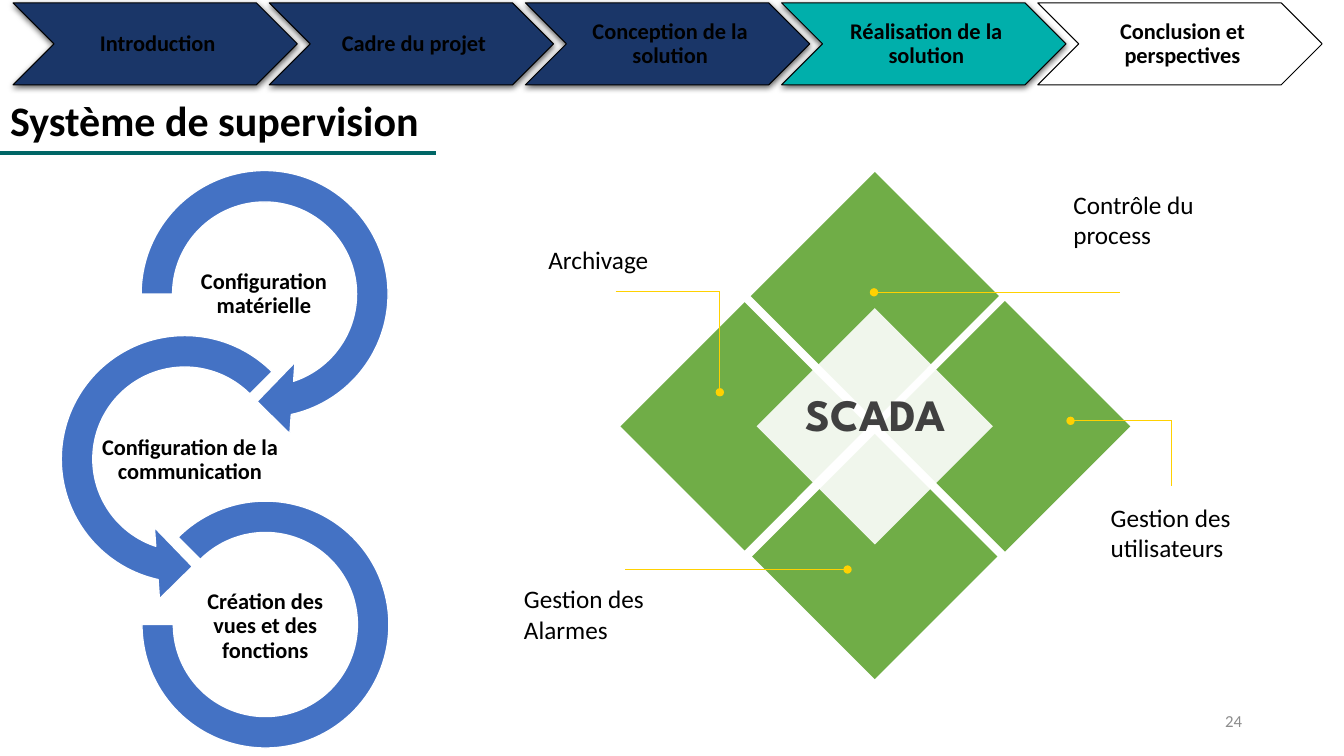
"""Build the slide on the supervision system, on a grid of 32 columns by 18 rows."""
from typing import NamedTuple, Optional

from lxml.etree import SubElement
from pptx import Presentation
from pptx.dml.color import RGBColor
from pptx.enum.shapes import MSO_CONNECTOR, MSO_SHAPE
from pptx.enum.text import MSO_ANCHOR, MSO_AUTO_SIZE, PP_ALIGN
from pptx.oxml import parse_xml
from pptx.oxml.ns import nsdecls, qn
from pptx.util import Emu, Pt

COLUMNS, ROWS, CELL = 32, 18, 381000
BLACK = RGBColor(0x00, 0x00, 0x00)
WHITE = RGBColor(0xFF, 0xFF, 0xFF)
NAVY = RGBColor(0x1A, 0x36, 0x68)
TURQUOISE = RGBColor(0x00, 0xAF, 0xAB)
TEAL = RGBColor(0x00, 0x66, 0x66)
BLUE = RGBColor(0x44, 0x72, 0xC4)
GREEN = RGBColor(0x70, 0xAD, 0x47)
YELLOW = RGBColor(0xFF, 0xD1, 0x01)
CHARCOAL = RGBColor(0x40, 0x40, 0x40)
GREY = RGBColor(0x8C, 0x8C, 0x8C)


class Area(NamedTuple):
    left: float
    top: float
    width: float
    height: float


class Chapter(NamedTuple):
    name: str
    fill: Optional[RGBColor]


class Stage(NamedTuple):
    kind: MSO_SHAPE
    area: Area
    adjustments: tuple
    text: str
    text_area: Area


class Diamond(NamedTuple):
    across: int
    down: int
    side: float


class Leader(NamedTuple):
    start: tuple
    end: tuple
    dot: bool


class Style(NamedTuple):
    size: float
    bold: bool = False
    color: RGBColor = BLACK
    font: str = "Calibri"
    align: PP_ALIGN = PP_ALIGN.LEFT
    spacing: float = 1.0
    anchor: MSO_ANCHOR = MSO_ANCHOR.TOP
    margins: tuple = (0.24, 0.12, 0.24, 0.12)


STEP_STYLE = Style(16, True, align=PP_ALIGN.CENTER, spacing=0.9,
                   anchor=MSO_ANCHOR.MIDDLE, margins=(0.02,) * 4)
CHAPTER_STYLE = STEP_STYLE._replace(margins=(0.17, 0.05, 0.05, 0.05))
TITLE_STYLE = Style(30, True)
HUB_STYLE = Style(32, True, CHARCOAL, "League Spartan", PP_ALIGN.CENTER, 0.9, margins=(0,) * 4)
NUMBER_STYLE = Style(12, color=GREY, align=PP_ALIGN.RIGHT, anchor=MSO_ANCHOR.MIDDLE)
LABEL_STYLE = Style(18)

CHAPTERS = (
    Chapter("Introduction", NAVY),
    Chapter("Cadre du projet", NAVY),
    Chapter("Conception de la solution", NAVY),
    Chapter("Réalisation de la solution", TURQUOISE),
    Chapter("Conclusion et perspectives", None),
)
FIRST_CHAPTER, CHAPTER_PITCH = Area(0.31, 0.07, 6.77, 1.95), 6.1
STAGES = (
    Stage(MSO_SHAPE.CIRCULAR_ARROW, Area(2.88, 3.58, 6.84, 6.84),
          (0.1098, 11.42322, 45, 108, 0.125),
          "Configuration matérielle", Area(4.39, 6.05, 3.79, 1.9)),
    Stage(MSO_SHAPE.LEFT_CIRCULAR_ARROW, Area(0.98, 7.51, 6.84, 6.84),
          (0.1098, 11.42322, 63, 189, 0.125),
          "Configuration de la communication", Area(2.16, 10.01, 4.73, 1.9)),
    Stage(MSO_SHAPE.BLOCK_ARC, Area(3.38, 11.93, 5.88, 5.88), (135, 108, 0.1274),
          "Création des vues et des fonctions", Area(4.42, 13.97, 3.79, 1.9)),
)
HUB, HUB_SIDE, DIAMOND_OFFSET = (20.83, 10.15), 3.98, 3.1
DIAMONDS = (Diamond(0, -1, 4.18), Diamond(0, 1, 4.13), Diamond(-1, 0, 4.18), Diamond(1, 0, 4.22))
LEADERS = (
    Leader((20.81, 6.96), (26.66, 6.96), True),
    Leader((25.49, 10.02), (27.9, 10.02), True),
    Leader((27.9, 10.02), (27.9, 11.57), False),
    Leader((14.66, 6.94), (17.14, 6.94), False),
    Leader((17.14, 9.34), (17.14, 6.94), True),
    Leader((20.18, 13.56), (14.88, 13.56), True),
)
LABELS = (
    ("Contrôle du process", Area(25.32, 4.39, 5.26, 1.7)),
    ("Gestion des utilisateurs", Area(26.21, 11.83, 5.26, 1.7)),
    ("Archivage", Area(12.82, 5.71, 5.26, 0.97)),
    ("Gestion des Alarmes", Area(12.24, 13.78, 5.26, 1.7)),
)


def grid(cells: float) -> Emu:
    """Turn grid cells into a length."""
    return Emu(round(cells * CELL))


def place(area: Area) -> tuple:
    """Turn an area of the grid into left, top, width and height."""
    return tuple(grid(cells) for cells in area)


def write(box, text: str, style: Style, wrap: bool = True) -> None:
    """Fill a shape with one styled paragraph."""
    frame = box.text_frame
    frame.text = text
    frame.word_wrap = wrap
    frame.auto_size = MSO_AUTO_SIZE.NONE
    frame.vertical_anchor = style.anchor
    (frame.margin_left, frame.margin_top,
     frame.margin_right, frame.margin_bottom) = map(grid, style.margins)
    para = frame.paragraphs[0]
    para.alignment, para.line_spacing = style.align, style.spacing
    font = para.runs[0].font
    font.name, font.size, font.bold = style.font, Pt(style.size), style.bold
    font.color.rgb = style.color


def add_text(page, text: str, area: Area, style: Style) -> None:
    """Add a text box."""
    write(page.shapes.add_textbox(*place(area)), text, style)


def add_figure(page, kind: MSO_SHAPE, area: Area, fill: Optional[RGBColor],
               line: Optional[RGBColor] = None, weight: float = 1):
    """Add a flat preset shape."""
    figure = page.shapes.add_shape(kind, *place(area))
    figure.shadow.inherit = False
    if fill is None:
        figure.fill.background()
    else:
        figure.fill.solid()
        figure.fill.fore_color.rgb = fill
    if line is None:
        figure.line.fill.background()
    else:
        figure.line.color.rgb = line
        figure.line.width = Pt(weight)
    return figure


def shadow_effect(blur: float, distance: float, angle: int, alpha: int):
    """Return an effect list with a black outer shadow."""
    return parse_xml(
        f'<a:effectLst {nsdecls("a")}><a:outerShdw blurRad="{Pt(blur)}" dist="{Pt(distance)}" '
        f'dir="{angle * 60000}" algn="ctr" rotWithShape="0"><a:srgbClr val="000000">'
        f'<a:alpha val="{alpha * 1000}"/></a:srgbClr></a:outerShdw></a:effectLst>')


def add_line(page, start: tuple, end: tuple, color: RGBColor, weight: float, dot: bool = False) -> None:
    """Add a straight line, with a dot at its start if asked."""
    line = page.shapes.add_connector(MSO_CONNECTOR.STRAIGHT, *map(grid, start + end))
    line.line.color.rgb = color
    line.line.width = Pt(weight)
    if dot:
        SubElement(line.line._get_or_add_ln(), qn("a:headEnd"), type="oval")
    SubElement(line._element.spPr, qn("a:effectLst"))


def add_chapter(page, index: int, chapter: Chapter) -> None:
    """Add one chevron of the progress bar."""
    area = FIRST_CHAPTER._replace(left=FIRST_CHAPTER.left + index * CHAPTER_PITCH)
    chevron = add_figure(page, MSO_SHAPE.CHEVRON, area, chapter.fill, BLACK, 0.75)
    if chapter.fill is not None:
        properties = chevron._element.spPr
        properties.replace(properties.find(qn("a:effectLst")), shadow_effect(4.5, 1.5, 90, 63))
    write(chevron, chapter.name, CHAPTER_STYLE)


def add_stage(page, stage: Stage) -> None:
    """Add one ring of the process with its text."""
    ring = add_figure(page, stage.kind, stage.area, BLUE, WHITE)
    for index, value in enumerate(stage.adjustments):
        ring.adjustments[index] = value
    add_text(page, stage.text, stage.text_area, STEP_STYLE)


def add_diamond(page, diamond: Diamond, fill: RGBColor):
    """Add a turned square at its offset from the hub."""
    left = HUB[0] + diamond.across * DIAMOND_OFFSET - diamond.side / 2
    top = HUB[1] + diamond.down * DIAMOND_OFFSET - diamond.side / 2
    square = add_figure(page, MSO_SHAPE.RECTANGLE, Area(left, top, diamond.side, diamond.side), fill)
    square.rotation = 315
    return square


def add_title(page) -> None:
    """Move and format the title, and underline it."""
    title = page.shapes.title
    title.left, title.top, title.width, title.height = place(Area(0, 2.14, 10.32, 1.46))
    write(title, "Système de supervision", TITLE_STYLE, wrap=False)
    properties = title.text_frame.paragraphs[0].runs[0].font._element
    properties.find(qn("a:solidFill")).addnext(shadow_effect(3, 3, 45, 43))
    add_line(page, (0, 3.65), (10.39, 3.65), TEAL, 3)


def main() -> None:
    """Draw the slide and save the deck."""
    deck = Presentation()
    deck.slide_width, deck.slide_height = grid(COLUMNS), grid(ROWS)
    page = deck.slides.add_slide(deck.slide_layouts[5])
    for index, chapter in enumerate(CHAPTERS):
        add_chapter(page, index, chapter)
    add_title(page)
    add_text(page, "24", Area(22.61, 16.68, 7.2, 0.96), NUMBER_STYLE)
    for stage in STAGES:
        add_stage(page, stage)
    for diamond in DIAMONDS:
        add_diamond(page, diamond, GREEN)
    hub = add_diamond(page, Diamond(0, 0, HUB_SIDE), WHITE)
    color = hub._element.spPr.find(qn("a:solidFill")).find(qn("a:srgbClr"))
    SubElement(color, qn("a:alpha"), val="90000")
    add_text(page, "SCADA", Area(18.98, 9.36, 3.74, 1.15), HUB_STYLE)
    for leader in LEADERS:
        add_line(page, leader.start, leader.end, YELLOW, 0.5, leader.dot)
    for text, area in LABELS:
        add_text(page, text, area, LABEL_STYLE)
    deck.save("out.pptx")


if __name__ == "__main__":
    main()
